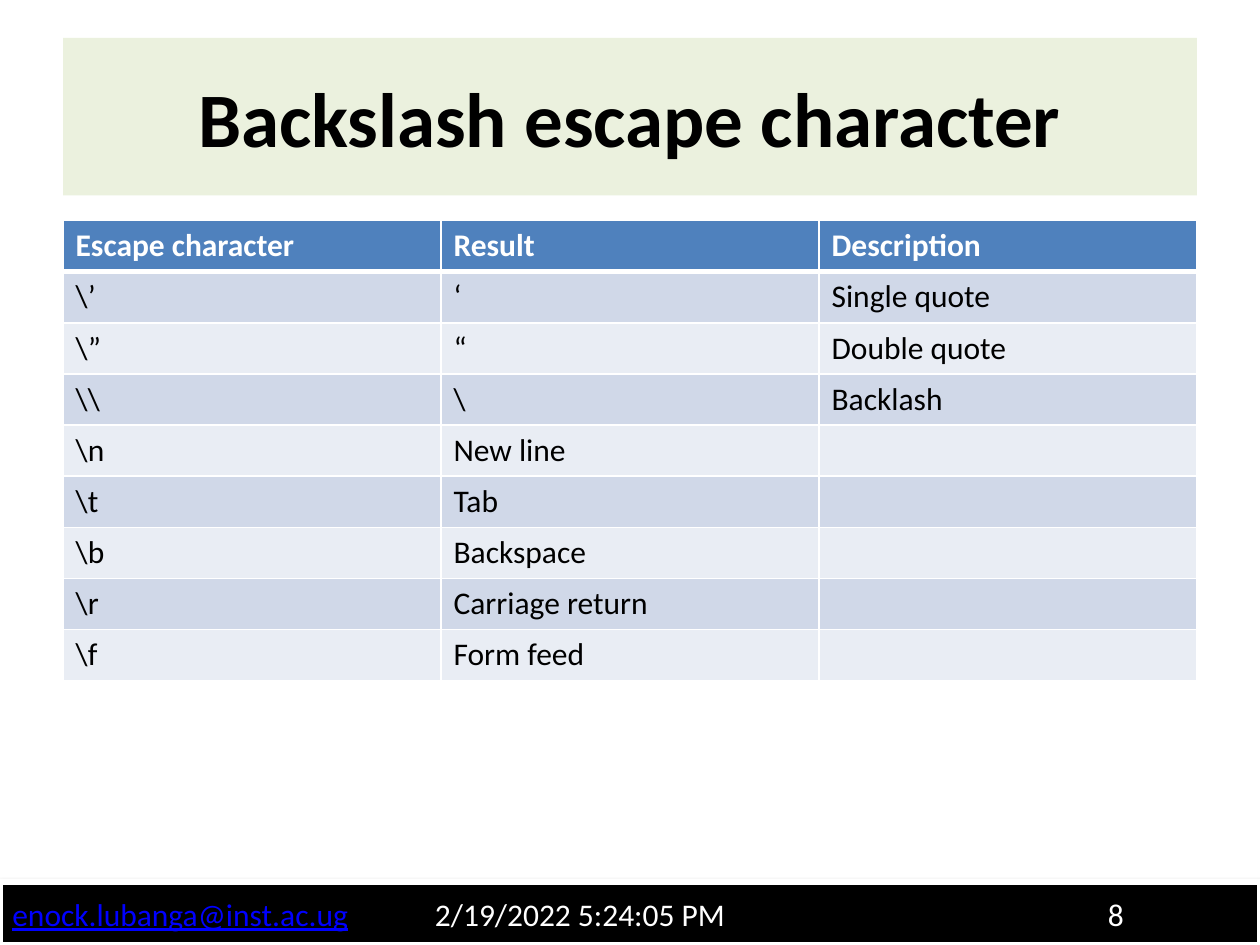
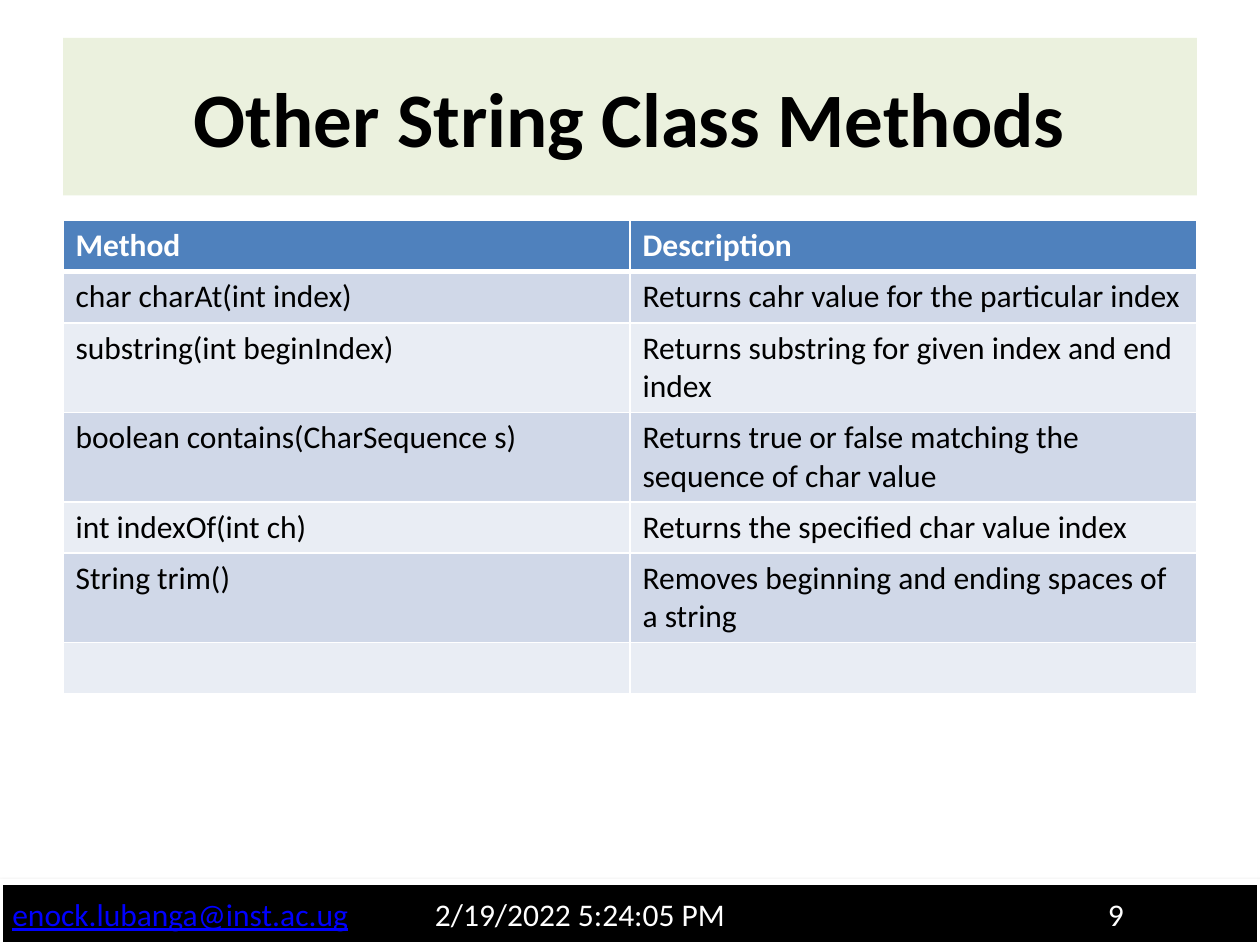
from lxml.etree import SubElement
from pptx import Presentation
from pptx.dml.color import RGBColor
from pptx.enum.shapes import MSO_SHAPE
from pptx.enum.text import MSO_ANCHOR, PP_ALIGN
from pptx.oxml import parse_xml
from pptx.oxml.ns import nsdecls, qn
from pptx.util import Pt

FONT = "Calibri"
WHITE, BLACK, LINK_BLUE = "FFFFFF", "000000", "0000FF"
TITLE_GREEN, HEADER_BLUE = "EBF1DE", "4F81BD"
BAND_COLOURS = ["E9EDF4", "D0D8E8"]
MARGIN, CONTENT_WIDTH, ROW_HEIGHT = 36, 648, 29.25
FOOTER_PARTS = ["enock.lubanga@inst.ac.ug", "\t2/19/2022 5:24:05 PM"]
FOOTER_TABS = [241.5, 626]
FIRST_NUMBER = 8

TABLES = [
    ("Backslash escape character", [
        ("Escape character", "Result", "Description"),
        ("\\’", "‘", "Single quote"),
        ("\\”", "“", "Double quote"),
        ("\\\\", "\\", "Backlash"),
        ("\\n", "New line", ""),
        ("\\t", "Tab", ""),
        ("\\b", "Backspace", ""),
        ("\\r", "Carriage return", ""),
        ("\\f", "Form feed", ""),
    ]),
    ("Other String Class Methods", [
        ("Method", "Description"),
        ("char charAt(int index)", "Returns cahr value for the particular index"),
        ("substring(int beginIndex)", "Returns substring for given index and end index"),
        ("boolean contains(CharSequence s)",
         "Returns true or false matching the sequence of char value"),
        ("int indexOf(int ch)", "Returns the specified char value index"),
        ("String trim()", "Removes beginning and ending spaces of a string"),
        ("", ""),
    ]),
]


def paint(target, colour):
    if hasattr(target, "solid"):
        target.solid()
        target = target.fore_color
    target.rgb = RGBColor.from_string(colour)


def style_font(font, size, colour, bold=False, underline=False):
    font.name = FONT
    font.size = Pt(size)
    font.bold = bold
    font.underline = underline
    paint(font.color, colour)


deck = Presentation()
deck.slide_width, deck.slide_height = Pt(720), Pt(540)

for number, (heading, rows) in enumerate(TABLES, FIRST_NUMBER):
    page = deck.slides.add_slide(deck.slide_layouts[5])

    footer = page.shapes.add_shape(MSO_SHAPE.RECTANGLE, Pt(0), Pt(504), Pt(720), Pt(36))
    paint(footer.fill, BLACK)
    paint(footer.line.fill, WHITE)
    footer.line.width = Pt(3)
    footer.shadow.inherit = False
    effects = footer._element.spPr.find(qn("a:effectLst"))
    effects.append(parse_xml(
        f'<a:outerShdw {nsdecls("a")} blurRad="{Pt(3.15)}" dist="{Pt(1.6)}" dir="5400000" '
        f'rotWithShape="0"><a:srgbClr val="{BLACK}"><a:alpha val="38000"/></a:srgbClr>'
        '</a:outerShdw>'))
    footer.text_frame.vertical_anchor = MSO_ANCHOR.MIDDLE
    para = footer.text_frame.paragraphs[0]
    para.alignment = PP_ALIGN.LEFT
    tabs = SubElement(para._p.get_or_add_pPr(), qn("a:tabLst"))
    for position in FOOTER_TABS:
        SubElement(tabs, qn("a:tab"), pos=str(Pt(position)), algn="l")
    for index, wording in enumerate(FOOTER_PARTS + [f"\t{number}"]):
        span = para.add_run()
        span.text = wording
        style_font(span.font, 18, WHITE if index else LINK_BLUE, underline=index == 0)

    title = page.shapes.title
    title.left, title.top = Pt(MARGIN), Pt(21.6)
    title.width, title.height = Pt(CONTENT_WIDTH), Pt(90)
    paint(title.fill, TITLE_GREEN)
    title.text_frame.text = heading
    title.text_frame.vertical_anchor = MSO_ANCHOR.MIDDLE
    para = title.text_frame.paragraphs[0]
    para.alignment = PP_ALIGN.CENTER
    style_font(para.runs[0].font, 44, BLACK, bold=True)

    table = page.shapes.add_table(
        len(rows), len(rows[0]), Pt(MARGIN), Pt(126),
        Pt(CONTENT_WIDTH), Pt(ROW_HEIGHT * len(rows))).table
    for row_index, row in enumerate(rows):
        is_header = row_index == 0
        for column_index, wording in enumerate(row):
            cell = table.cell(row_index, column_index)
            cell.text_frame.text = wording
            for span in cell.text_frame.paragraphs[0].runs:
                style_font(span.font, 18, WHITE if is_header else BLACK, bold=is_header)
            paint(cell.fill, HEADER_BLUE if is_header else BAND_COLOURS[row_index % 2])
            widths = {"L": 1, "R": 1, "T": 3 if row_index == 1 else 1, "B": 3 if is_header else 1}
            for place, (side, width) in enumerate(widths.items()):
                cell._tc.get_or_add_tcPr().insert(place, parse_xml(
                    f'<a:ln{side} {nsdecls("a")} w="{Pt(width)}"><a:solidFill>'
                    f'<a:srgbClr val="{WHITE}"/></a:solidFill></a:ln{side}>'))

deck.save("out.pptx")
